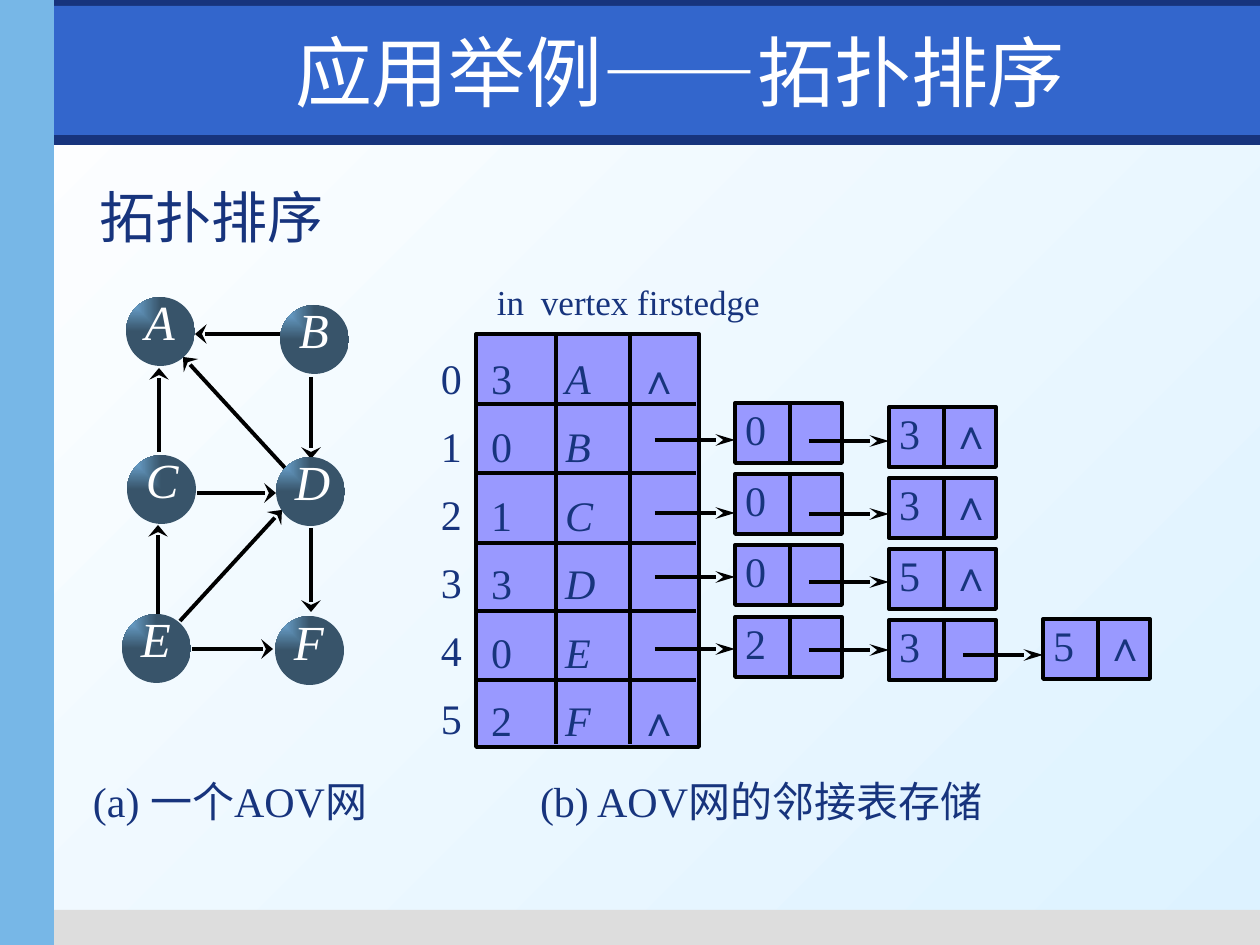
"""Build a slide on topological sorting: an AOV network and its adjacency list."""
from lxml.etree import SubElement as Sub
from pptx import Presentation
from pptx.dml.color import RGBColor
from pptx.enum.shapes import MSO_CONNECTOR as Link, MSO_SHAPE as Shape
from pptx.oxml import parse_xml
from pptx.oxml.ns import nsdecls, qn
from pptx.util import Emu, Pt

FONT = "Times New Roman"
HUE = {"navy": "17347D", "blue": "3366CC", "sky": "77B7E7", "grey": "DDDDDD",
       "cell": "9999FF", "black": "000000", "white": "FFFFFF", "pale": "DDF2FF",
       "slate": "38546A"}

BARS = [("navy", 0, 135, 1260, 10), ("grey", 44, 910, 1216, 35),
        ("navy", 0, 0, 1260, 26), ("blue", 54, 6, 1206, 129),
        ("sky", 0, 0, 54, 945)]
TITLE, HEAD = "应用举例——拓扑排序", "拓扑排序"
NOTES = [("(a) 一个AOV网", 93, 380), ("(b) AOV网的邻接表存储", 540, 600)]
NODES = {"A": (126, 297), "B": (280, 305), "C": (127, 455),
         "D": (276, 457), "E": (122, 614), "F": (275, 616)}
EDGES = [(280, 334, 195, 334), (311, 377, 311, 459), (311, 528, 311, 612),
         (192, 649, 273, 649), (158, 614, 158, 525), (197, 493, 276, 493),
         (159, 452, 159, 368), (286, 469, 183, 357), (180, 621, 282, 510)]
LABELS = ["in", "vertex firstedge"]
ROWS = [("3", "A", "∧"), ("0", "B"), ("1", "C"),
        ("3", "D"), ("0", "E"), ("2", "F", "∧")]
CHAINS = [[("0", 403, 440), ("3", 407, 441)],
          [("0", 474, 513), ("3", 478, 514)],
          [("0", 545, 577), ("5", 549, 582)],
          [("2", 617, 649), ("3", 620, 650), ("5", 619, 655)]]
GRID = (476, 334, 223, 413)
RULES_X, RULES_Y = [556, 630], [404, 473, 543, 611, 680]
LEFT, STEP, WIDE, HIGH, SPLIT, REACH = 735, 154, 107, 60, 55, 80
DISC = 69


def px(n):
    return Emu(round(n * 914400 / 126))


def rgb(name):
    return RGBColor.from_string(HUE[name])


def write(shape, rows, size, hue="navy", inset=(0, 1, 0, 1), tabs=(), lead=None):
    frame = shape.text_frame
    frame.word_wrap = True
    (frame.margin_left, frame.margin_top,
     frame.margin_right, frame.margin_bottom) = map(px, inset)
    frame.vertical_anchor = 1
    for i, row in enumerate(rows):
        para = frame.paragraphs[0] if i == 0 else frame.add_paragraph()
        para.alignment = 1
        para.line_spacing = lead
        if tabs:
            stops = Sub(para._p.get_or_add_pPr(), qn("a:tabLst"))
            for tab in tabs:
                Sub(stops, qn("a:tab"), pos=str(px(tab)), algn="l")
        for j, word in enumerate(row):
            run = para.add_run()
            run.text = "\t" * (j > 0) + word
            run.font.size = Pt(size)
            run.font.name = FONT
            run.font.italic = word in NODES
            run.font.color.rgb = rgb(hue)


def label(slide, box, rows, size, **style):
    shape = slide.shapes.add_textbox(*map(px, box))
    write(shape, rows, size, **style)
    return shape


def block(slide, box, hue, edge=False):
    shape = slide.shapes.add_shape(Shape.RECTANGLE, *map(px, box))
    shape.shadow.inherit = False
    shape.fill.solid()
    shape.fill.fore_color.rgb = rgb(hue)
    if edge:
        shape.line.color.rgb = rgb("black")
        shape.line.width = Pt(2.25)
    else:
        shape.line.fill.background()
    return shape


def stroke(slide, ends, head=None):
    line = slide.shapes.add_connector(Link.STRAIGHT, *map(px, ends))
    line.line.color.rgb = rgb("black")
    line.line.width = Pt(2.25)
    if head:
        wide, long = head
        Sub(line.line._get_or_add_ln(), qn("a:tailEnd"),
            type="stealth", w=wide, len=long)
    Sub(line._element.spPr, qn("a:effectLst"))


def disc(slide, name, x, y):
    ball = slide.shapes.add_shape(Shape.OVAL, *map(px, (x, y, DISC, DISC)))
    ball.shadow.inherit = False
    ball.line.fill.background()
    ball.fill.gradient()
    for stop, hue in zip(ball.fill.gradient_stops, ("sky", "slate")):
        stop.color.rgb = rgb(hue)
    grad = ball._element.spPr.find(qn("a:gradFill"))
    grad.replace(grad.find(qn("a:lin")), parse_xml(
        f'<a:path {nsdecls("a")} path="rect">'
        '<a:fillToRect r="100000" b="100000"/></a:path>'))
    label(slide, (x + 9, y - 7, 64, 82), [[name]], 28,
          hue="white", inset=(10, 2, 0, 1))


def shade(shape):
    run = shape.text_frame.paragraphs[0].runs[0]
    run._r.rPr.find(qn("a:solidFill")).addnext(parse_xml(
        f'<a:effectLst {nsdecls("a")}><a:outerShdw dist="35921" dir="2700000">'
        '<a:srgbClr val="C0C0C0"/></a:outerShdw></a:effectLst>'))


def table(slide):
    x, y, w, h = GRID
    label(slide, (441, y, 25, 425), [str(i) for i in range(len(ROWS))], 24, lead=1.35)
    label(slide, (497, 280, 363, 60), [LABELS], 20, tabs=[44])
    grid = block(slide, GRID, "cell", True)
    write(grid, ROWS, 24, inset=(15, 0, 0, 0), tabs=[74, 148], lead=1.36)
    for rule in RULES_Y:
        stroke(slide, (x, rule, x + w - 3, rule))
    for rule in RULES_X:
        stroke(slide, (rule, y, rule, y + h - 3))


def chain(slide, cells):
    for i, (value, top, mid) in enumerate(cells):
        x = LEFT + i * STEP
        row = [value, "∧"] if i == len(cells) - 1 else [value]
        box = block(slide, (x, top, WIDE, HIGH), "cell", True)
        write(box, [row], 24, inset=(10, 1, 0, 1), tabs=[51])
        stroke(slide, (x + SPLIT, top, x + SPLIT, top + HIGH))
        stroke(slide, (x - REACH, mid, x, mid), ("med", "lg"))


def main():
    deck = Presentation()
    deck.slide_width, deck.slide_height = px(1260), px(945)
    slide = deck.slides.add_slide(deck.slide_layouts[6])
    back = slide.background.fill
    back.gradient()
    back.gradient_angle = 315
    for stop, hue in zip(back.gradient_stops, ("white", "pale")):
        stop.color.rgb = rgb(hue)
    for hue, *box in BARS:
        block(slide, box, hue)
    for text, x, w in NOTES:
        label(slide, (x, 775, w, 60), [[text]], 24)
    for edge in EDGES:
        stroke(slide, edge, ("lg", "med"))
    table(slide)
    for cells in CHAINS:
        chain(slide, cells)
    for name, spot in NODES.items():
        disc(slide, name, *spot)
    pad = (13, 6, 13, 6)
    shade(label(slide, (282, 19, 798, 106), [[TITLE]], 44, hue="white", inset=pad))
    label(slide, (87, 176, 820, 79), [[HEAD]], 32, inset=pad)
    deck.save("out.pptx")


if __name__ == "__main__":
    main()
